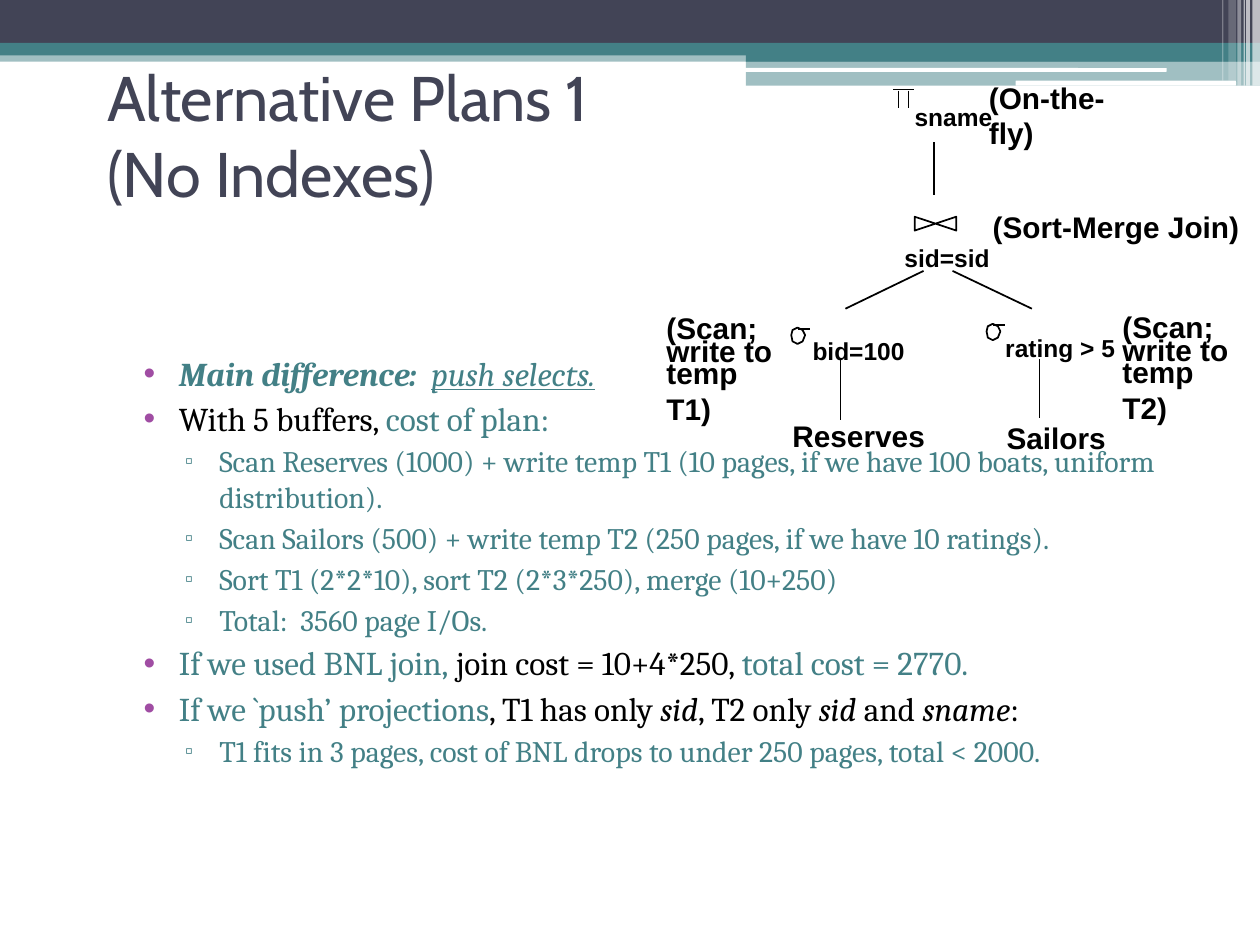
from lxml import etree
from pptx import Presentation
from pptx.dml.color import RGBColor
from pptx.enum.shapes import MSO_CONNECTOR, MSO_SHAPE
from pptx.enum.text import MSO_ANCHOR, MSO_AUTO_SIZE, PP_ALIGN
from pptx.oxml.ns import qn
from pptx.util import Inches, Pt

RECT = MSO_SHAPE.RECTANGLE
ROUND = MSO_SHAPE.ROUNDED_RECTANGLE
LINE = MSO_CONNECTOR.STRAIGHT
MIDDLE = MSO_ANCHOR.MIDDLE
TOP = MSO_ANCHOR.TOP
NO_FIT = MSO_AUTO_SIZE.NONE
GROW = MSO_AUTO_SIZE.SHAPE_TO_FIT_TEXT
LEFT = PP_ALIGN.LEFT

NAVY = RGBColor(0x42, 0x44, 0x56)
TEAL = RGBColor(0x43, 0x80, 0x86)
PLUM = RGBColor(0xA0, 0x4D, 0xA3)
BLACK = RGBColor(0, 0, 0)
WHITE = RGBColor(255, 255, 255)

BARS = [
    (0, 0.4, 10, 0.09, TEAL, 50),
    (0, 0, 10, 0.34, NAVY, 100),
    (0, 0.34, 10, 0.1, TEAL, 100),
    (5.92, 0.39, 4.08, 0.1, TEAL, 100),
    (5.92, 0.48, 4.08, 0.2, TEAL, 50),
]
PILLS = [(5.91, 0.54, 3.35, 0.03), (8.06, 0.64, 1.75, 0.04)]
STRIPES = [
    (9.94, 0.06, 0.68, 65),
    (9.89, 0.03, 0.68, 65),
    (9.87, 0.01, 0.68, 60),
    (9.82, 0.03, 0.68, 40),
    (9.75, 0.06, 0.64, 20),
    (9.7, 0.01, 0.64, 30),
]

BODY = [
    (0, [("Main difference:  ", TEAL, "bi"), ("push selects.", TEAL, "iu")]),
    (0, [("With 5 buffers, ", BLACK, ""), ("cost of plan:", TEAL, "")]),
    (1, [("Scan Reserves (1000) + write temp T1 (10 pages, "
          "if we have 100 boats, uniform distribution).", TEAL, "")]),
    (1, [("Scan Sailors (500) + write temp T2 (250 pages, "
          "if we have 10 ratings).", TEAL, "")]),
    (1, [("Sort T1 (2*2*10), sort T2 (2*3*250), merge (10+250)", TEAL, "")]),
    (1, [("Total:  3560 page I/Os.", TEAL, "")]),
    (0, [("If we used BNL join,", TEAL, ""),
         (" join cost = 10+4*250, ", BLACK, ""),
         ("total cost = 2770.", TEAL, "")]),
    (0, [("If we `push’ projections", TEAL, ""), (", T1 has only ", BLACK, ""),
         ("sid", BLACK, "i"), (", T2 only ", BLACK, ""), ("sid", BLACK, "i"),
         (" and ", BLACK, ""), ("sname", BLACK, "i"), (":", BLACK, "")]),
    (1, [("T1 fits in 3 pages, cost of BNL drops to under 250 pages, "
          "total < 2000.", TEAL, "")]),
]
LEVELS = [(19, 0.4, 0.28, "•", PLUM, 100), (17, 0.72, 0.27, "▫", TEAL, 75)]

EDGES = [
    (7.41, 1.13, 7.41, 1.55),
    (6.71, 2.45, 7.33, 2.15),
    (7.56, 2.15, 8.19, 2.45),
    (6.67, 2.86, 6.67, 3.33),
    (8.25, 2.85, 8.25, 3.32),
]
PI = [(7.13, 0.72, 7.13, 0.86), (7.21, 0.72, 7.21, 0.86),
      (7.09, 0.71, 7.25, 0.71)]
JOIN = [(7.26, 1.72), (7.59, 1.83), (7.59, 1.72), (7.26, 1.83)]
LOOP = [(0.11, 0.06), (0.09, 0.02), (0.05, 0), (0.01, 0.02),
        (0, 0.06), (0.01, 0.11), (0.05, 0.13), (0.09, 0.11)]
SIGMAS = [(6.28, 2.6), (7.83, 2.57)]

NAMES = [
    (6.19, 3.27, 1.25, "Reserves"),
    (7.89, 3.28, 0.99, "Sailors"),
    (7.75, 0.58, 1.47, "(On-the-fly)"),
    (7.78, 1.61, 2.16, "(Sort-Merge Join)"),
]
TERMS = [
    (7.08, 1.88, 0.88, "sid=sid"),
    (6.35, 2.62, 0.98, "bid=100"),
    (7.16, 0.76, 0.82, "sname"),
    (7.88, 2.59, 1.07, "rating > 5"),
]
SCANS = [(5.19, 2.41, "temp T1)"), (8.81, 2.4, "temp T2)")]


class Deck:
    head = "Cabin"
    serif = "Cambria"
    sans = "Arial"

    def __init__(self):
        self.prs = Presentation()
        self.prs.slide_width = Inches(10)
        self.prs.slide_height = Inches(7.5)
        self.slide = self.prs.slides.add_slide(self.prs.slide_layouts[1])
        self.shapes = self.slide.shapes

    def font(self, run, name, size, color, style=""):
        font = run.font
        font.name = name
        font.size = Pt(size)
        font.color.rgb = color
        font.bold = "b" in style
        font.italic = "i" in style
        font.underline = "u" in style

    def place(self, shape, x, y, w, h, anchor):
        shape.left, shape.top = Inches(x), Inches(y)
        shape.width, shape.height = Inches(w), Inches(h)
        frame = shape.text_frame
        frame.auto_size = NO_FIT
        frame.vertical_anchor = anchor
        return frame

    def title(self, text, x, y, w, h):
        frame = self.place(self.shapes.title, x, y, w, h, MIDDLE)
        frame.text = text
        para = frame.paragraphs[0]
        para.alignment = LEFT
        for run in para.runs:
            self.font(run, self.head, 36, NAVY)

    def bullet(self, para, level):
        size, left, hang, mark, color, scale = LEVELS[level]
        para.level = level
        para.space_before = Pt(3)
        props = para._p.get_or_add_pPr()
        props.set("marL", str(Inches(left)))
        props.set("indent", str(-Inches(hang)))
        tint = etree.SubElement(props, qn("a:buClr"))
        etree.SubElement(tint, qn("a:srgbClr"), val=str(color))
        etree.SubElement(props, qn("a:buSzPct"), val=str(scale * 1000))
        etree.SubElement(props, qn("a:buFont"), typeface=self.sans)
        etree.SubElement(props, qn("a:buChar"), char=mark)
        return size

    def body(self, items, x, y, w, h):
        frame = self.place(self.slide.placeholders[1], x, y, w, h, TOP)
        for i, (level, parts) in enumerate(items):
            para = frame.add_paragraph() if i else frame.paragraphs[0]
            size = self.bullet(para, level)
            for text, color, style in parts:
                run = para.add_run()
                run.text = text
                self.font(run, self.serif, size, color, style)

    def bar(self, x, y, w, h, color, alpha=100, kind=RECT):
        shape = self.shapes.add_shape(
            kind, Inches(x), Inches(y), Inches(w), Inches(h))
        shape.shadow.inherit = False
        shape.fill.solid()
        shape.fill.fore_color.rgb = color
        shape.line.fill.background()
        if alpha < 100:
            tint = shape.fill._xPr.find(".//" + qn("a:srgbClr"))
            etree.SubElement(tint, qn("a:alpha"), val=str(alpha * 1000))

    def stroke(self, shape):
        shape.line.color.rgb = BLACK
        shape.line.width = Pt(1)

    def edge(self, x1, y1, x2, y2):
        line = self.shapes.add_connector(
            LINE, Inches(x1), Inches(y1), Inches(x2), Inches(y2))
        self.stroke(line)
        etree.SubElement(line._element.spPr, qn("a:effectLst"))

    def ring(self, points):
        spots = [(Inches(x), Inches(y)) for x, y in points]
        pen = self.shapes.build_freeform(*spots[0])
        pen.add_line_segments(spots[1:], close=True)
        shape = pen.convert_to_shape()
        shape.shadow.inherit = False
        shape.fill.background()
        self.stroke(shape)

    def sigma(self, x, y):
        self.ring([(x + dx, y + dy) for dx, dy in LOOP])
        self.edge(x + 0.05, y + 0.01, x + 0.15, y + 0.01)

    def label(self, x, y, w, text, size):
        box = self.shapes.add_textbox(
            Inches(x), Inches(y), Inches(w), Inches(0.38 if size > 14 else 0.33))
        frame = box.text_frame
        frame.word_wrap = False
        frame.auto_size = GROW
        frame.text = text
        self.font(frame.paragraphs[0].runs[0], self.sans, size, BLACK, "b")


def main():
    deck = Deck()
    for bar in BARS:
        deck.bar(*bar)
    for pill in PILLS:
        deck.bar(*pill, WHITE, kind=ROUND)
    for x, w, h, alpha in STRIPES:
        deck.bar(x, 0, w, h, WHITE, alpha)
    deck.title("Alternative Plans 1 \v(No Indexes)", 0.75, 0.46, 8.5, 1.21)
    deck.body(BODY, 0.92, 2.75, 8.67, 4.42)
    for edge in EDGES + PI:
        deck.edge(*edge)
    deck.ring(JOIN)
    for spot in SIGMAS:
        deck.sigma(*spot)
    for name in NAMES:
        deck.label(*name, 17)
    for term in TERMS:
        deck.label(*term, 14)
    for x, y, last in SCANS:
        lines = [("(Scan;", 0.92), ("write to", 1.04), (last, 1.18)]
        for i, (text, w) in enumerate(lines):
            deck.label(x, y + i * 0.18, w, text, 17)
    deck.prs.save("out.pptx")


if __name__ == "__main__":
    main()
